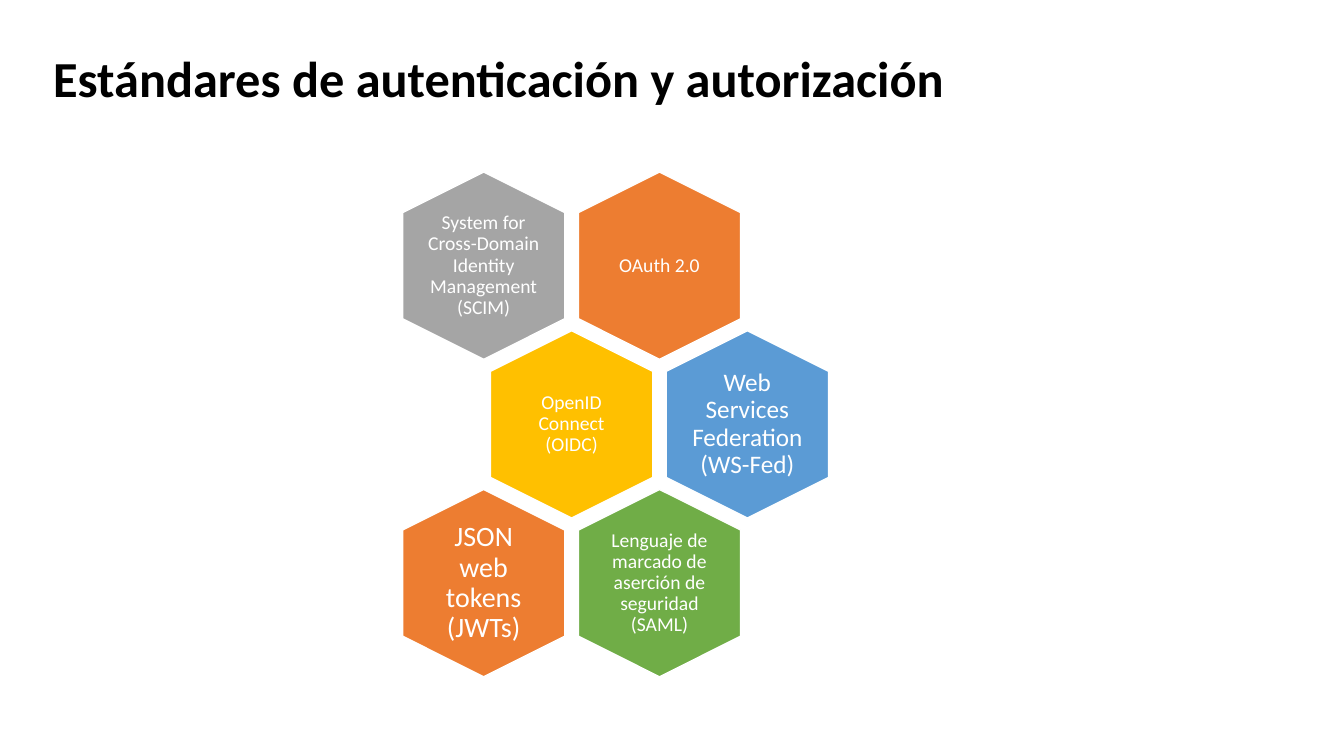
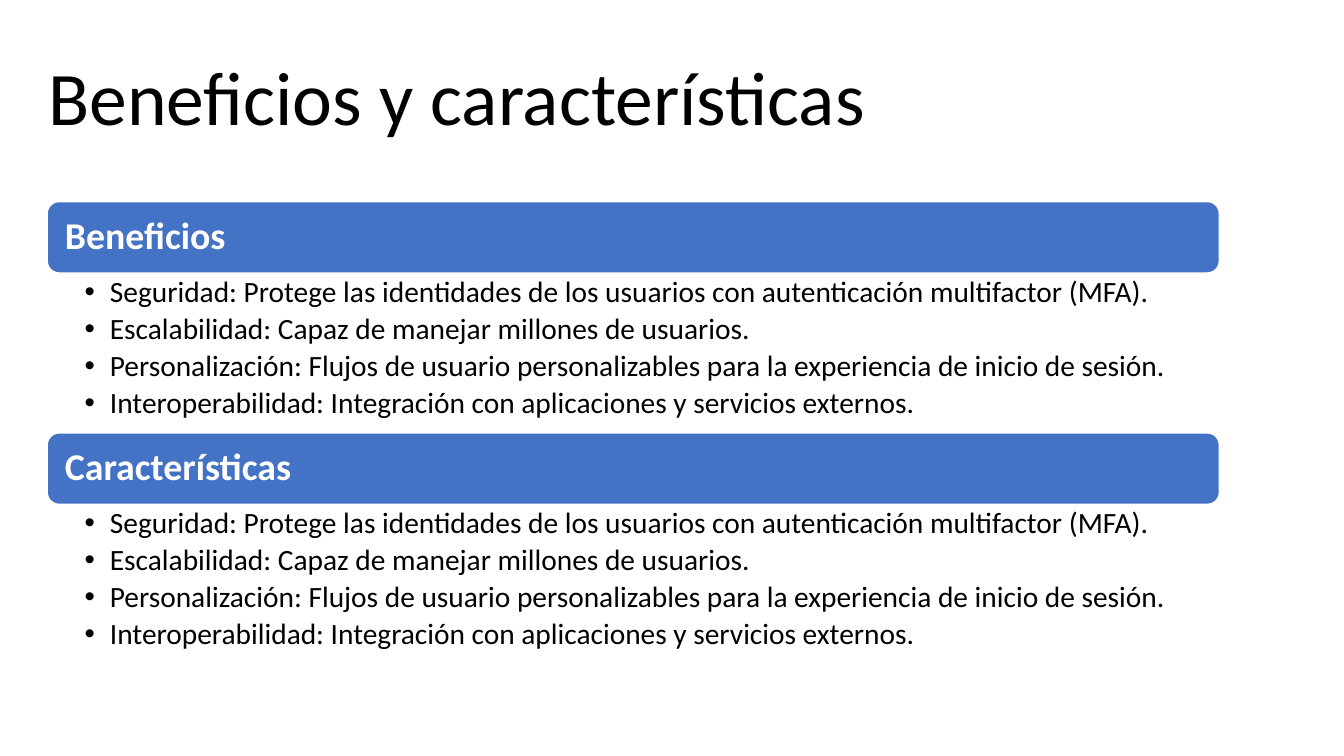
from dataclasses import dataclass
from typing import Any

from pptx import Presentation
from pptx import util as u
from pptx.dml.color import RGBColor
from pptx.enum import shapes, text

FONT = "Calibri"
COLORS = {
    "black": "000000",
    "white": "FFFFFF",
    "orange": "ED7D31",
    "gray": "A5A5A5",
    "gold": "FFC000",
    "sky": "5B9BD5",
    "green": "70AD47",
    "blue": "4472C4",
}


@dataclass(frozen=True)
class Box:
    left: float
    top: float
    width: float
    height: float

    def emu(self) -> tuple[int, int, int, int]:
        return u.Cm(self.left), u.Cm(self.top), u.Cm(self.width), u.Cm(self.height)


@dataclass(frozen=True)
class Hexagon:
    label: str
    color: str
    row: int
    col: int
    size: int = 14
    inset: float = 0


@dataclass(frozen=True)
class Section:
    heading: str
    items: tuple[str, ...]


HEXAGONS = (
    Hexagon("OAuth 2.0", "orange", 0, 1, inset=0.15),
    Hexagon("System for Cross-Domain Identity Management (SCIM)", "gray", 0, 0),
    Hexagon("OpenID Connect (OIDC)", "gold", 1, 0, inset=0.15),
    Hexagon("Web Services Federation (WS-Fed)", "sky", 1, 1, size=18),
    Hexagon("Lenguaje de marcado de aserción de seguridad (SAML)", "green", 2, 1, inset=0.15),
    Hexagon("JSON web tokens (JWTs)", "orange", 2, 0, size=20),
)
ITEMS = (
    "Seguridad: Protege las identidades de los usuarios con autenticación multifactor (MFA).",
    "Escalabilidad: Capaz de manejar millones de usuarios.",
    "Personalización: Flujos de usuario personalizables para la experiencia de inicio de sesión.",
    "Interoperabilidad: Integración con aplicaciones y servicios externos.",
)
SECTIONS = (Section("Beneficios", ITEMS), Section("Características", ITEMS))

HEX_LEFT, HEX_TOP = 9.83, 4.65
HEX_WIDTH, HEX_HEIGHT = 4.72, 4.09
COL_STEP, ROW_STEP = 4.43, 4.0
LABEL_WIDTH, LABEL_HEIGHT = 2.82, 3.25

SECTION_LEFT, SECTION_TOP, SECTION_WIDTH = 1.19, 5.08, 29.54
BAND_HEIGHT, LIST_HEIGHT = 1.8, 4.03


def rgb(name: str) -> RGBColor:
    return RGBColor.from_string(COLORS[name])


def place(sp: Any, box: Box) -> None:
    sp.left, sp.top, sp.width, sp.height = box.emu()


def set_frame(tf: Any, anchor: Any, left: float, top: float, right: float, bottom: float) -> None:
    tf.word_wrap = True
    tf.auto_size = text.MSO_AUTO_SIZE.NONE
    tf.vertical_anchor = anchor
    tf.margin_left, tf.margin_top = u.Cm(left), u.Cm(top)
    tf.margin_right, tf.margin_bottom = u.Cm(right), u.Cm(bottom)


def style(
    tf: Any,
    size: int,
    color: str,
    bold: bool = False,
    align: Any = text.PP_ALIGN.LEFT,
    after: float = 0,
) -> None:
    for p in tf.paragraphs:
        p.alignment = align
        p.line_spacing = 0.9
        p.space_before, p.space_after = u.Pt(0), u.Pt(after)
        for r in p.runs:
            r.font.name, r.font.size, r.font.bold = FONT, u.Pt(size), bold
            r.font.color.rgb = rgb(color)


def set_title(s: Any, title: str, box: Box, size: int, bold: bool = False) -> None:
    sp = s.shapes.title
    place(sp, box)
    sp.text_frame.text = title
    set_frame(sp.text_frame, text.MSO_ANCHOR.BOTTOM, 0.25, 0.13, 0.25, 0.13)
    style(sp.text_frame, size, "black", bold)


def add_filled(s: Any, kind: Any, box: Box, color: str) -> Any:
    sp = s.shapes.add_shape(kind, *box.emu())
    sp.shadow.inherit = False
    sp.fill.solid()
    sp.fill.fore_color.rgb = rgb(color)
    sp.line.color.rgb = rgb("white")
    sp.line.width = u.Pt(1)
    return sp


def add_hexagon(s: Any, item: Hexagon) -> None:
    left = HEX_LEFT + item.col * COL_STEP + item.row % 2 * COL_STEP / 2
    top = HEX_TOP + item.row * ROW_STEP
    box = Box(left, top, HEX_WIDTH, HEX_HEIGHT)
    sp = add_filled(s, shapes.MSO_SHAPE.HEXAGON, box, item.color)
    sp.adjustments[0] = 0.25
    sp.rotation = 90
    label_box = Box(
        left + (HEX_WIDTH - LABEL_WIDTH) / 2,
        top + (HEX_HEIGHT - LABEL_HEIGHT) / 2,
        LABEL_WIDTH,
        LABEL_HEIGHT,
    )
    tf = s.shapes.add_textbox(*label_box.emu()).text_frame
    tf.text = item.label
    set_frame(tf, text.MSO_ANCHOR.MIDDLE, *[item.inset] * 4)
    style(tf, item.size, "white", align=text.PP_ALIGN.CENTER)


def add_section(s: Any, section: Section, body: Any, top: float) -> None:
    band = Box(SECTION_LEFT, top, SECTION_WIDTH, BAND_HEIGHT)
    tf = add_filled(s, shapes.MSO_SHAPE.ROUNDED_RECTANGLE, band, "blue").text_frame
    tf.text = section.heading
    set_frame(tf, text.MSO_ANCHOR.MIDDLE, 0.36, 0.28, 0.36, 0.28)
    style(tf, 27, "white", bold=True)

    place(body, Box(SECTION_LEFT, top + BAND_HEIGHT, SECTION_WIDTH, LIST_HEIGHT))
    tf = body.text_frame
    tf.text = "\n".join(section.items)
    set_frame(tf, text.MSO_ANCHOR.TOP, 0.94, 0.1, 0.53, 0.1)
    style(tf, 21, "black", after=3.8)
    for p in tf.paragraphs:
        pPr = p._p.get_or_add_pPr()
        pPr.set("marL", str(u.Cm(0.64)))
        pPr.set("indent", str(-u.Cm(0.64)))


def build_standards(prs: Any) -> None:
    s = prs.slides.add_slide(prs.slide_layouts.get_by_name("Title Only"))
    title = "Estándares de autenticación y autorización"
    set_title(s, title, Box(1.09, 1.12, 28.4, 1.75), 36, bold=True)
    for item in HEXAGONS:
        add_hexagon(s, item)


def build_benefits(prs: Any) -> None:
    s = prs.slides.add_slide(prs.slide_layouts.get_by_name("Two Content"))
    set_title(s, "Beneficios y características", Box(0.97, 1.57, 28.4, 2.13), 54)
    for i, section in enumerate(SECTIONS):
        top = SECTION_TOP + i * (BAND_HEIGHT + LIST_HEIGHT)
        add_section(s, section, s.placeholders[i + 1], top)


def main() -> None:
    prs = Presentation()
    prs.slide_width, prs.slide_height = u.Cm(33.87), u.Cm(19.05)
    build_standards(prs)
    build_benefits(prs)
    prs.save("out.pptx")


if __name__ == "__main__":
    main()
